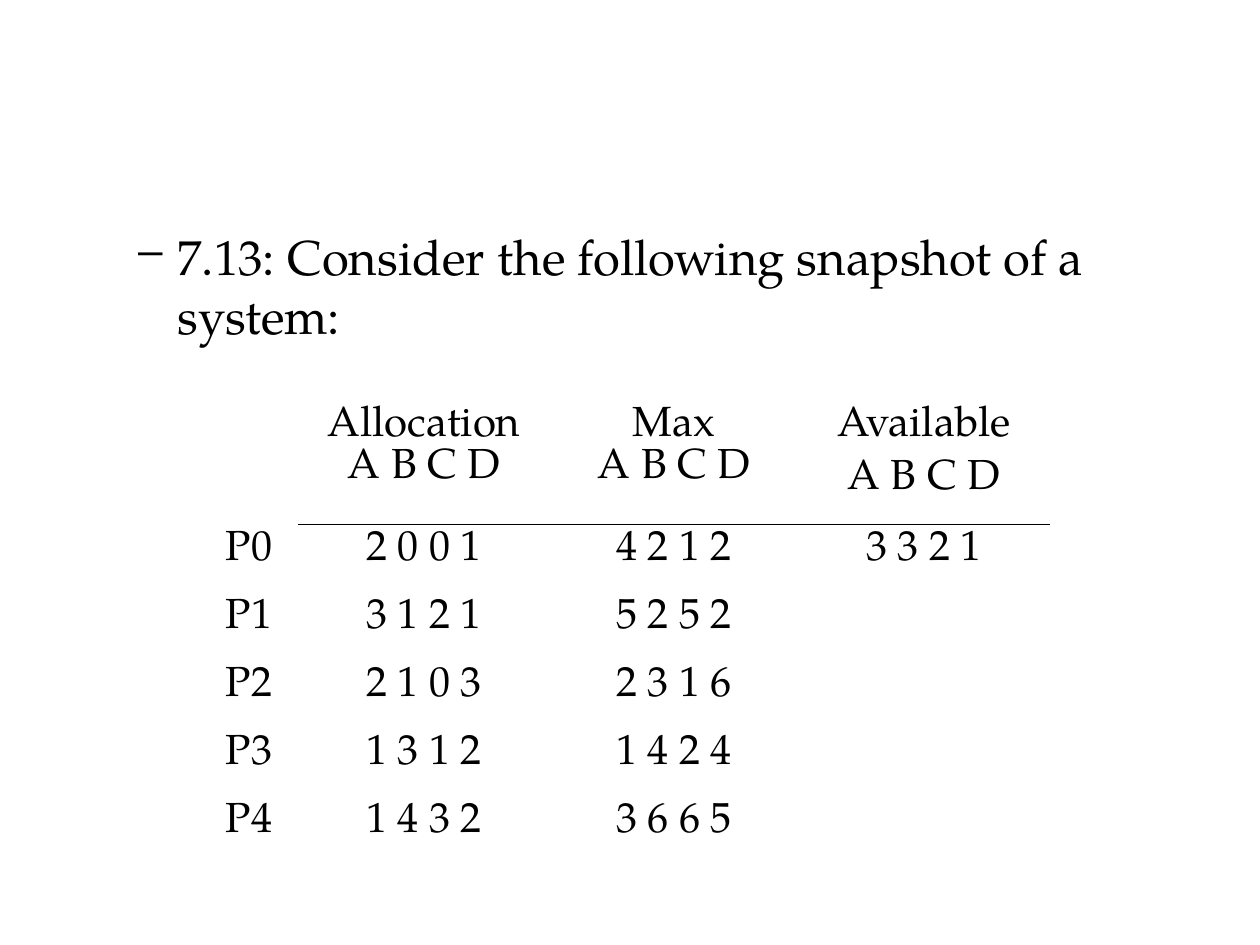
from dataclasses import dataclass

from lxml import etree
from pptx import Presentation
from pptx import util as u
from pptx.dml.color import RGBColor
from pptx.enum import text
from pptx.oxml import ns

PX_PER_INCH = 126


@dataclass(frozen=True)
class Theme:
    font: str = "TeX Gyre Pagella"
    ink: str = "000000"
    question_size: int = 28
    table_size: int = 24
    rule_width: float = 0.45


@dataclass(frozen=True)
class Process:
    name: str
    allocation: str
    maximum: str
    available: str = ""


THEME = Theme()
# A vertical tab breaks the line; a newline starts a paragraph.
HEADINGS = ("", "Allocation\vA B C D", "Max\vA B C D", "Available\nA B C D")
PROCESSES = (
    Process("P0", "2 0 0 1", "4 2 1 2", "3 3 2 1"),
    Process("P1", "3 1 2 1", "5 2 5 2"),
    Process("P2", "2 1 0 3", "2 3 1 6"),
    Process("P3", "1 3 1 2", "1 4 2 4"),
    Process("P4", "1 4 3 2", "3 6 6 5"),
)
COLUMN_WIDTHS = (100, 250, 250, 250)
ROW_HEIGHTS = (123,) + (68,) * len(PROCESSES)


def px(length: int) -> u.Emu:
    return u.Emu(round(length * 914400 / PX_PER_INCH))


def style_runs(paragraph, size: int) -> None:
    for run in paragraph.runs:
        run.font.name = THEME.font
        run.font.size = u.Pt(size)
        run.font.bold = False
        run.font.color.rgb = RGBColor.from_string(THEME.ink)


def add_dash_bullet(paragraph, indent: int, hang: int) -> None:
    properties = paragraph._p.get_or_add_pPr()
    properties.set("marL", str(px(indent)))
    properties.set("indent", str(-px(hang)))
    color = etree.SubElement(properties, ns.qn("a:buClr"))
    etree.SubElement(color, ns.qn("a:srgbClr"), val=THEME.ink)
    etree.SubElement(properties, ns.qn("a:buFont"), typeface=THEME.font)
    etree.SubElement(properties, ns.qn("a:buChar"), char="–")


def add_question(slide, wording: str) -> None:
    frame = slide.shapes.add_textbox(px(63), px(220), px(1134), px(624)).text_frame
    frame.word_wrap = True
    frame.text = wording
    question = frame.paragraphs[0]
    question.space_before = u.Pt(7)
    add_dash_bullet(question, indent=102, hang=39)
    style_runs(question, THEME.question_size)


def add_rule(cell, edge: str) -> None:
    """Draw a thin line on one edge of a cell: "a:lnT" or "a:lnB"."""
    line = etree.Element(ns.qn(edge), w=str(u.Pt(THEME.rule_width)))
    fill = etree.SubElement(line, ns.qn("a:solidFill"))
    etree.SubElement(fill, ns.qn("a:srgbClr"), val=THEME.ink)
    cell._tc.get_or_add_tcPr().insert(0, line)


def fill_cell(cell, wording: str) -> None:
    cell.fill.background()
    cell.text_frame.text = wording
    for paragraph in cell.text_frame.paragraphs:
        paragraph.alignment = text.PP_ALIGN.CENTER
        paragraph.space_before = u.Pt(6)
        style_runs(paragraph, THEME.table_size)


def add_snapshot(slide) -> None:
    rows = [HEADINGS] + [
        (p.name, p.allocation, p.maximum, p.available) for p in PROCESSES
    ]
    snapshot = slide.shapes.add_table(
        len(rows), len(HEADINGS), px(199), px(400),
        px(sum(COLUMN_WIDTHS)), px(sum(ROW_HEIGHTS)),
    ).table
    snapshot.first_row = False
    snapshot.horz_banding = False
    for column, width in zip(snapshot.columns, COLUMN_WIDTHS):
        column.width = px(width)
    for row, height, wordings in zip(snapshot.rows, ROW_HEIGHTS, rows):
        row.height = px(height)
        for cell, wording in zip(row.cells, wordings):
            fill_cell(cell, wording)
    for column in range(1, len(HEADINGS)):
        add_rule(snapshot.cell(0, column), "a:lnB")
        add_rule(snapshot.cell(1, column), "a:lnT")


def main() -> None:
    deck = Presentation()
    deck.slide_width, deck.slide_height = px(1260), px(945)
    slide = deck.slides.add_slide(deck.slide_layouts[6])
    add_question(slide, "7.13: Consider the following snapshot of a system:")
    add_snapshot(slide)
    deck.save("out.pptx")


if __name__ == "__main__":
    main()
